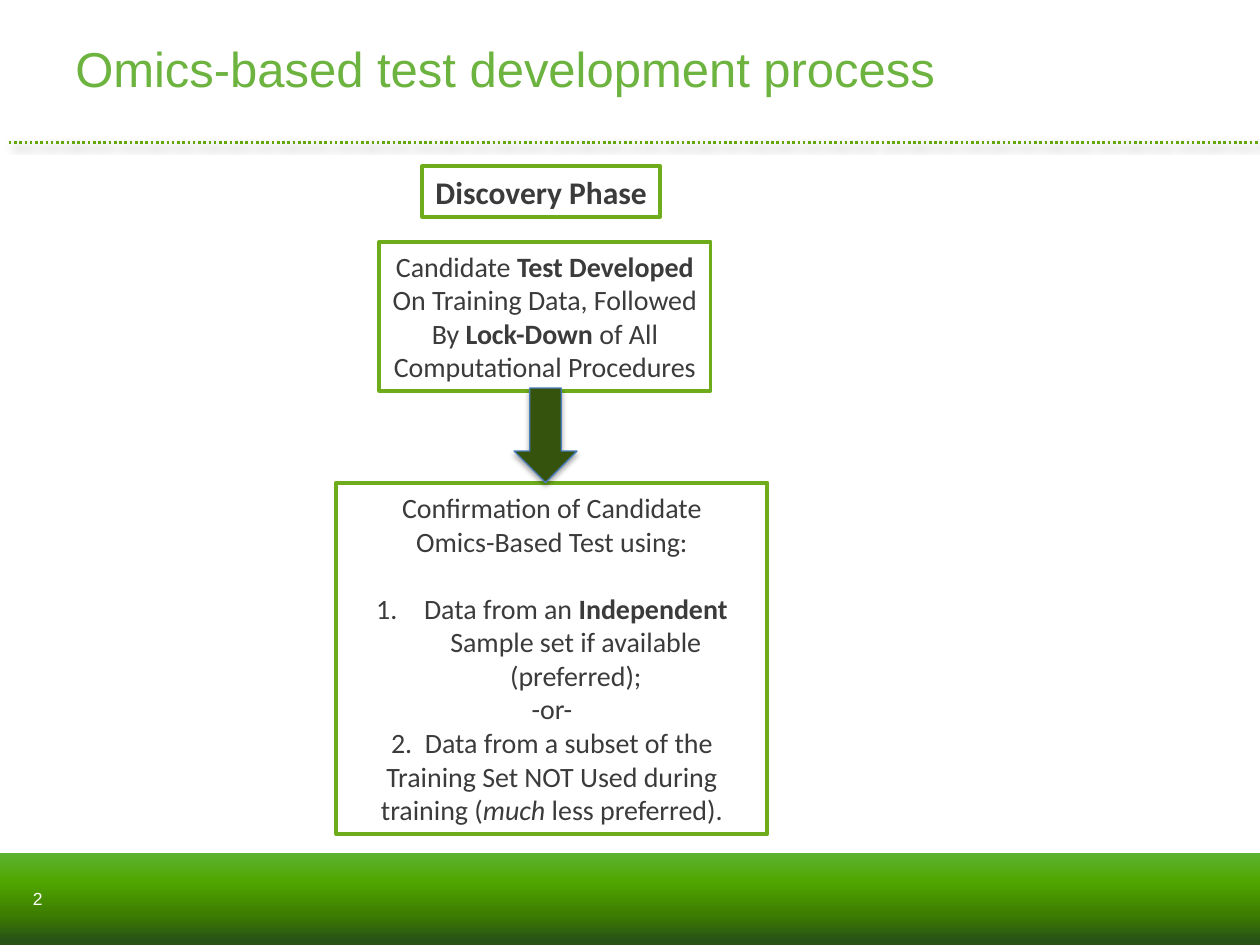
from pptx import Presentation
from pptx import util as u
from pptx.dml.color import RGBColor
from pptx.enum import dml, shapes, text
from pptx.oxml.ns import qn
from lxml import etree

Inches, Pt = u.Inches, u.Pt
TITLE_GREEN = RGBColor(0x6D, 0xB3, 0x3F)
RULE_GREEN = RGBColor(0x64, 0xA7, 0x0B)
BOX_GREEN = RGBColor(0x6E, 0xAC, 0x1B)
ARROW_GREEN = RGBColor(0x35, 0x53, 0x0D)
ARROW_EDGE = RGBColor(0x4B, 0x7E, 0xBC)
INK = RGBColor(0x3B, 0x3B, 0x3B)
WHITE = RGBColor(0xFF, 0xFF, 0xFF)
BLACK = RGBColor(0, 0, 0)
FOOTER_STOPS = [
    (0, RGBColor(0x5B, 0xB2, 0x32)),
    (30, RGBColor(0x51, 0xA7, 0x00)),
    (67, RGBColor(0x3D, 0x7D, 0x00)),
    (95, RGBColor(0x28, 0x53, 0x15)),
]
CENTER = text.PP_ALIGN.CENTER


def add_color(parent, color):
    return etree.SubElement(parent, qn("a:srgbClr"), val=str(color))


def add_shadow(shape, opacity, blur, distance, angle):
    properties = shape._element.spPr
    effects = properties.find(qn("a:effectLst"))
    if effects is None:
        effects = etree.SubElement(properties, qn("a:effectLst"))
    shadow = etree.SubElement(
        effects, qn("a:outerShdw"), blurRad=str(Pt(blur)), dist=str(Pt(distance)),
        dir=str(angle * 60000), algn="ctr", rotWithShape="0")
    color = add_color(shadow, BLACK)
    etree.SubElement(color, qn("a:alpha"), val=str(opacity * 1000))


def style_font(font, name, size, color):
    font.name = name
    font.size = Pt(size)
    font.color.rgb = color


def add_shape(slide, kind, left, top, width, height):
    shape = slide.shapes.add_shape(
        kind, Inches(left), Inches(top), Inches(width), Inches(height))
    shape.shadow.inherit = False
    return shape


def add_footer(slide):
    band = add_shape(slide, shapes.MSO_SHAPE.RECTANGLE, 0, 6.77, 10, 0.73)
    band.line.fill.background()
    band.fill.gradient()
    band.fill.gradient_angle = 270
    stops = band._element.spPr.find(qn("a:gradFill")).find(qn("a:gsLst"))
    for stop in list(stops):
        stops.remove(stop)
    for position, color in FOOTER_STOPS:
        stop = etree.SubElement(stops, qn("a:gs"), pos=str(position * 1000))
        add_color(stop, color)


def add_rule(slide):
    rule = slide.shapes.add_connector(
        shapes.MSO_CONNECTOR.STRAIGHT,
        Inches(0.07), Inches(1.13), Inches(10), Inches(1.13))
    rule.line.color.rgb = RULE_GREEN
    rule.line.width = Pt(1.5)
    rule.line.dash_style = dml.MSO_LINE.ROUND_DOT
    add_shadow(rule, 40, 4, 3, 45)


def add_label(slide, left, top, width, height, words, size, color):
    label = slide.shapes.add_textbox(
        Inches(left), Inches(top), Inches(width), Inches(height))
    frame = label.text_frame
    frame.word_wrap = True
    frame.vertical_anchor = text.MSO_ANCHOR.MIDDLE
    paragraph = frame.paragraphs[0]
    paragraph.text = words
    style_font(paragraph.font, "Arial", size, color)
    return paragraph


def add_step(slide, left, top, width, height, lines, size=16, wrap=False):
    box = add_shape(slide, shapes.MSO_SHAPE.RECTANGLE, left, top, width, height)
    box.fill.background()
    box.line.color.rgb = BOX_GREEN
    box.line.width = Pt(2.25)
    frame = box.text_frame
    frame.word_wrap = wrap
    frame.auto_size = text.MSO_AUTO_SIZE.SHAPE_TO_FIT_TEXT
    frame.vertical_anchor = text.MSO_ANCHOR.MIDDLE
    for index, line in enumerate(lines):
        paragraph = frame.add_paragraph() if index else frame.paragraphs[0]
        paragraph.alignment = CENTER
        for words, style in line:
            run = paragraph.add_run()
            run.text = words
            if style == "bold":
                run.font.bold = True
            elif style == "italic":
                run.font.italic = True
        style_font(paragraph.font, "Calibri", size, INK)
    return frame.paragraphs


def number_item(paragraph, gap):
    paragraph.space_before = Pt(gap)
    properties = paragraph._p.get_or_add_pPr()
    properties.set("marL", str(Inches(0.38)))
    properties.set("indent", str(-Inches(0.38)))
    numbering = etree.Element(qn("a:buAutoNum"), type="arabicPeriod")
    properties.find(qn("a:defRPr")).addprevious(numbering)


def add_arrow(slide):
    arrow = add_shape(slide, shapes.MSO_SHAPE.DOWN_ARROW, 4.08, 3.08, 0.5, 0.75)
    arrow.fill.solid()
    arrow.fill.fore_color.rgb = ARROW_GREEN
    arrow.line.color.rgb = ARROW_EDGE
    arrow.line.width = Pt(0.75)
    add_shadow(arrow, 35, 3.1, 1.8, 90)


def main():
    presentation = Presentation()
    presentation.slide_width = Inches(10)
    presentation.slide_height = Inches(7.5)
    slide = presentation.slides.add_slide(presentation.slide_layouts[6])

    add_footer(slide)
    add_rule(slide)
    title = add_label(slide, 0.5, 0.08, 8.84, 0.97,
                      "Omics-based test development process", 28, TITLE_GREEN)
    title.line_spacing = 0.9
    number = add_label(slide, 0, 6.77, 0.6, 0.73, "2", 10, WHITE)
    number.alignment = CENTER

    add_step(slide, 3.35, 1.32, 1.89, 0.4, [[("Discovery Phase", "bold")]], size=18)
    add_step(slide, 3.01, 1.92, 2.63, 1.18, [
        [("Candidate ", ""), ("Test Developed", "bold")],
        [("On Training Data, Followed", "")],
        [("By ", ""), ("Lock-Down", "bold"), (" of All", "")],
        [("Computational Procedures", "")],
    ])
    confirmation = add_step(slide, 2.67, 3.83, 3.42, 2.79, [
        [("Confirmation of Candidate", "")],
        [("Omics-Based Test using:", "")],
        [("Data from an ", ""), ("Independent", "bold"),
         (" Sample set if available (preferred);", "")],
        [("-or-", "")],
        [("2.  Data from a subset of the Training Set NOT Used during training (", ""),
         ("much ", "italic"), ("less preferred).", "")],
    ], wrap=True)
    number_item(confirmation[2], gap=19.2)
    add_arrow(slide)

    presentation.save("out.pptx")


if __name__ == "__main__":
    main()
